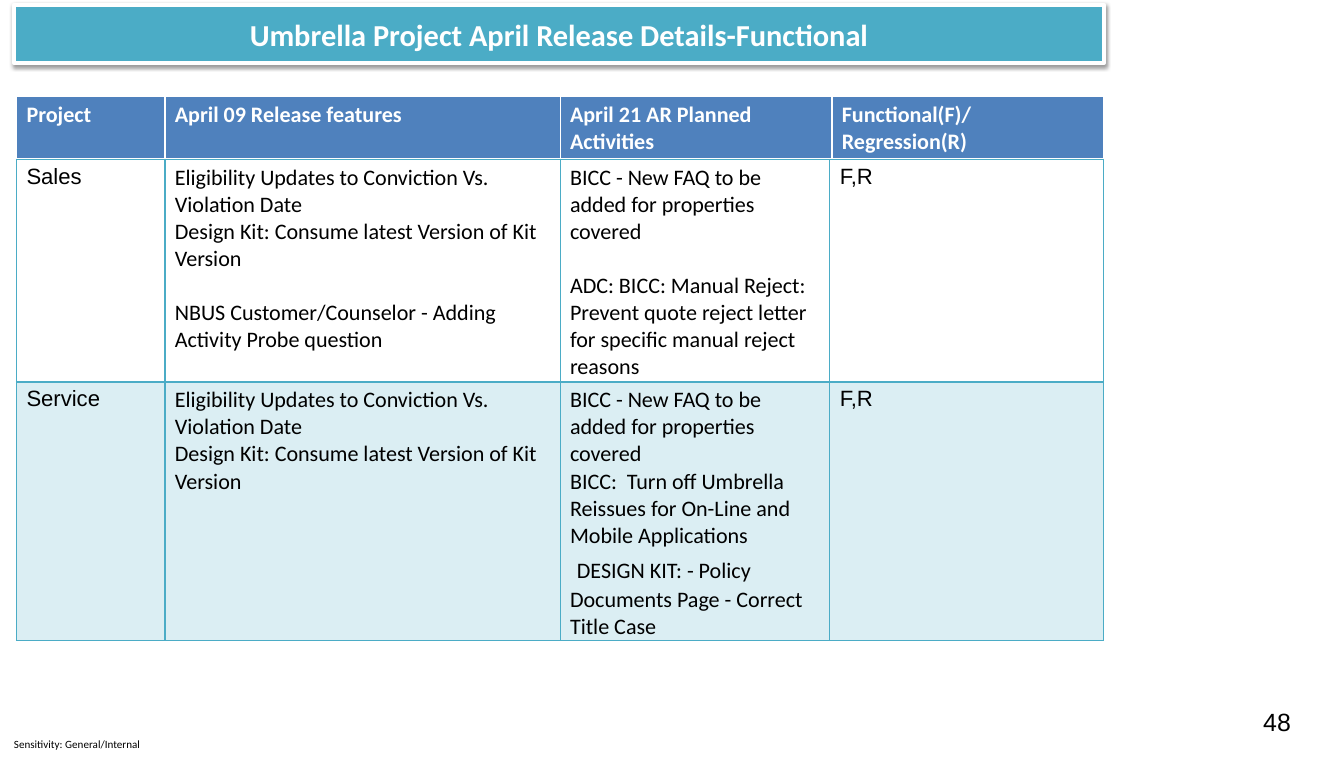
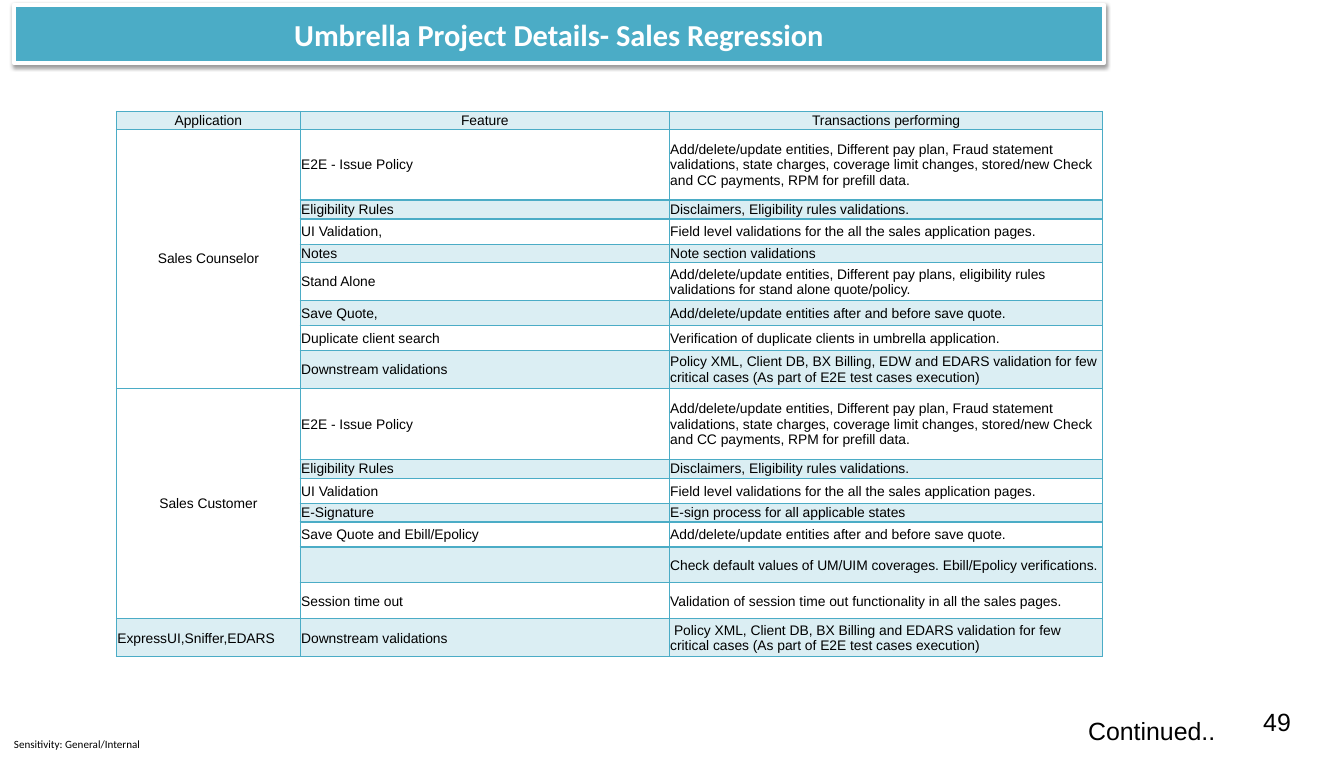
from collections import namedtuple
from dataclasses import dataclass

from lxml import etree
from pptx import Presentation
from pptx.dml.color import RGBColor
from pptx.enum.text import MSO_ANCHOR, MSO_AUTO_SIZE, PP_ALIGN
from pptx.oxml.ns import qn
from pptx.util import Pt

LEFT, CENTER = PP_ALIGN.LEFT, PP_ALIGN.CENTER
TOP, MIDDLE = MSO_ANCHOR.TOP, MSO_ANCHOR.MIDDLE
TITLE_ONLY = 5


@dataclass(frozen=True)
class Theme:
    teal: str = "4BACC6"
    blue: str = "4F81BD"
    white: str = "FFFFFF"
    black: str = "000000"
    heading: str = "Calibri"
    body: str = "Arial"
    title_size: float = 22
    page_size: float = 18
    table_size: float = 16
    dense_size: float = 10
    footer_size: float = 8
    tint: int = 20  # opacity of shaded rows, percent


T = Theme()
Box = namedtuple("Box", "left top width height")
# gap: points above the paragraph; lead: size of a leading space
Para = namedtuple("Para", "text gap lead", defaults=(0, 0))

SLIDE_W, SLIDE_H = 972, 547.2
TITLE_BOX = Box(10, 3.6, 788.5, 41.8)
FOOTER_BOX = Box(0, 529.2, 111.6, 18)
PAGE_BOX = Box(906.5, 507.6, 48.2, 28.8)
CONTINUED_BOX = Box(779.8, 513.4, 107.3, 28.8)
LINE_GAP = 19.5

# Release details
RELEASE_HEAD = ["Project", "April 09 Release features",
                "April 21 AR Planned Activities", "Functional(F)/Regression(R)"]
UPDATES = [Para("Eligibility Updates to Conviction Vs. Violation Date"),
           Para("Design Kit: Consume latest Version of Kit Version")]
FAQ = Para("BICC - New FAQ to be added for properties covered")
RELEASE_ROWS = [
    ["Sales",
     UPDATES + [Para("NBUS Customer/Counselor - Adding Activity Probe question", LINE_GAP)],
     [FAQ, Para("ADC: BICC: Manual Reject: Prevent quote reject letter for specific "
                "manual reject reasons", LINE_GAP)],
     "F,R"],
    ["Service",
     UPDATES,
     [FAQ, Para("BICC:  Turn off Umbrella Reissues for On-Line and Mobile Applications"),
      Para("DESIGN KIT: - Policy Documents Page - Correct Title Case", lead=22)],
     "F,R"],
]

# Sales regression: height, application, feature, transactions
ISSUE = ("E2E - Issue Policy",
         "Add/delete/update entities, Different pay plan, Fraud statement validations, "
         "state charges, coverage limit changes, stored/new Check and CC payments, "
         "RPM for prefill data.")
RULES = ("Eligibility Rules", "Disclaimers, Eligibility rules validations.")
FIELDS = "Field level validations for the all the sales application pages."
SAVING = "Add/delete/update entities after and before save quote."
CASES = "validation for few critical cases (As part of E2E test cases execution)"
REGRESSION_ROWS = [
    (12.5, "Application", "Feature", "Transactions performing"),
    (51.3, "Sales Counselor", *ISSUE),
    (13.7, "", *RULES),
    (18.3, "", "UI Validation,", FIELDS),
    (13.4, "", "Notes", "Note section validations"),
    (27.4, "", "Stand Alone", "Add/delete/update entities, Different pay plans, eligibility "
                              "rules validations for stand alone quote/policy."),
    (18, "", "Save Quote,", SAVING),
    (18, "", "Duplicate client search",
     "Verification of duplicate clients in umbrella application."),
    (27.4, "", "Downstream validations",
     "Policy XML, Client DB, BX Billing, EDW and EDARS " + CASES),
    (51.3, "Sales Customer", *ISSUE),
    (13.7, "", *RULES),
    (18.3, "", "UI Validation", FIELDS),
    (13.4, "", "E-Signature", "E-sign process for all applicable states"),
    (18, "", "Save Quote and Ebill/Epolicy", SAVING),
    (26, "", "", "Check default values of UM/UIM coverages. Ebill/Epolicy verifications."),
    (26, "", "Session time out",
     "Validation of session time out functionality in all the sales pages."),
    (27.4, "ExpressUI,Sniffer,EDARS", "Downstream validations",
     " Policy XML, Client DB, BX Billing and EDARS " + CASES),
]
MERGED_ROWS = [(1, 8), (9, 15)]


def rgb(color):
    return RGBColor.from_string(color)


def points(box):
    return [Pt(v) for v in box]


def write(tf, text, *, size, font=T.body, color=T.black, bold=False, align=LEFT,
          anchor=TOP, insets=(7.2, 3.6, 7.2, 3.6)):
    """Fill a text frame with a string or a list of Para."""
    tf.vertical_anchor = anchor
    tf.margin_left, tf.margin_top, tf.margin_right, tf.margin_bottom = points(insets)
    paras = [Para(text)] if isinstance(text, str) else text
    for i, para in enumerate(paras):
        p = tf.add_paragraph() if i else tf.paragraphs[0]
        p.alignment = align
        if para.gap:
            p.space_before = Pt(para.gap)
        runs = [(para.text, size)] if para.text else []
        if para.lead:
            runs.insert(0, (" ", para.lead))
        for run_text, run_size in runs:
            r = p.add_run()
            r.text = run_text
            r.font.size, r.font.name, r.font.bold = Pt(run_size), font, bold
            r.font.color.rgb = rgb(color)
        if not runs:
            etree.SubElement(p._p, qn("a:endParaRPr"), sz=str(size * 100))


def add_label(s, box, text, wrap=True, **fmt):
    tf = s.shapes.add_textbox(*points(box)).text_frame
    tf.word_wrap = wrap
    write(tf, text, **fmt)


def set_opacity(element, percent):
    for clr in element.findall(qn("a:solidFill") + "/" + qn("a:srgbClr")):
        etree.SubElement(clr, qn("a:alpha"), val=str(percent * 1000))


def set_borders(cell, color, bottom=1):
    tcPr = cell._tc.get_or_add_tcPr()
    for side, width in zip("LRTB", (1, 1, 1, bottom)):
        ln = etree.SubElement(tcPr, qn("a:ln" + side), w=str(Pt(width)))
        fill = etree.SubElement(ln, qn("a:solidFill"))
        etree.SubElement(fill, qn("a:srgbClr"), val=color)


def set_fill(cell, color=None, opacity=100):
    if color is None:
        cell.fill.background()
        return
    cell.fill.solid()
    cell.fill.fore_color.rgb = rgb(color)
    if opacity < 100:
        set_opacity(cell._tc.tcPr, opacity)


def add_grid(s, left, top, widths, heights):
    """Add a plain table and return it."""
    box = Box(left, top, sum(widths), sum(heights))
    table = s.shapes.add_table(len(heights), len(widths), *points(box)).table
    table.first_row = table.horz_banding = False
    for col, width in zip(table.columns, widths):
        col.width = Pt(width)
    for row, height in zip(table.rows, heights):
        row.height = Pt(height)
    return table


def add_title(s, box, text):
    title = s.shapes.title
    title.left, title.top, title.width, title.height = points(box)
    title.fill.solid()
    title.fill.fore_color.rgb = rgb(T.teal)
    title.line.color.rgb = rgb(T.white)
    title.line.width = Pt(3)
    # Soft shadow under the band
    title.shadow.inherit = False
    effects = title._element.spPr.find(qn("a:effectLst"))
    shadow = etree.SubElement(effects, qn("a:outerShdw"), blurRad=str(Pt(3.1)),
                              dist=str(Pt(1.6)), dir="5400000", rotWithShape="0")
    clr = etree.SubElement(shadow, qn("a:srgbClr"), val=T.black)
    etree.SubElement(clr, qn("a:alpha"), val="38000")
    title.text_frame.auto_size = MSO_AUTO_SIZE.NONE
    title.text_frame.word_wrap = True
    write(title.text_frame, text, size=T.title_size, font=T.heading, color=T.white,
          bold=True, align=CENTER, anchor=MIDDLE)


def add_base_slide(prs, title, page):
    """Add a slide with the title band, sensitivity footer and page number."""
    s = prs.slides.add_slide(prs.slide_layouts[TITLE_ONLY])
    add_title(s, TITLE_BOX, title)
    add_label(s, FOOTER_BOX, "Sensitivity: General/Internal", size=T.footer_size,
              font=T.heading, align=CENTER, anchor=MIDDLE, insets=(0, 0, 0, 0))
    add_label(s, PAGE_BOX, str(page), size=T.page_size)
    return s


def add_release_tables(s, left, top):
    insets = (7.2, 3.6, 7.2, 0)
    head_height = 45.2
    # Header strip
    head = add_grid(s, left, top, [107.3, 285.8, 196.6, 196.6], [head_height])
    for cell, text in zip(head.rows[0].cells, RELEASE_HEAD):
        set_borders(cell, T.white, bottom=3)
        set_fill(cell, T.blue)
        write(cell.text_frame, text, size=T.table_size, font=T.heading, color=T.white,
              bold=True, insets=insets)
        cell.vertical_anchor = TOP
    # Project rows
    body = add_grid(s, left, top + head_height, [107.3, 285.8, 195.1, 198], [160.8, 187])
    fonts = [T.body, T.heading, T.heading, T.body]
    for i, texts in enumerate(RELEASE_ROWS):
        for cell, text, font in zip(body.rows[i].cells, texts, fonts):
            set_borders(cell, T.teal, bottom=1 if i else 2)
            set_fill(cell, T.teal if i else None, T.tint)
            format_cell(cell, text, size=T.table_size, font=font, insets=insets)


def format_cell(cell, text, *, anchor=TOP, insets, **fmt):
    """Write into a cell, whose margins and anchor belong to the cell itself."""
    write(cell.text_frame, text, insets=insets, **fmt)
    cell.margin_left, cell.margin_top, cell.margin_right, cell.margin_bottom = points(insets)
    cell.vertical_anchor = anchor


def add_regression_table(s, left, top):
    table = add_grid(s, left, top, [133, 266.9, 313.5], [row[0] for row in REGRESSION_ROWS])
    starts = [first for first, last in MERGED_ROWS]
    for i, (_, *texts) in enumerate(REGRESSION_ROWS):
        for j, text in enumerate(texts):
            cell = table.cell(i, j)
            in_merge = j == 0 and any(a <= i <= b for a, b in MERGED_ROWS)
            shaded = i % 2 == 0 and not in_merge
            centred = i == 0 or (j == 0 and i in starts)
            set_borders(cell, T.teal)
            set_fill(cell, T.teal if shaded else None, T.tint)
            format_cell(cell, text, size=T.dense_size, anchor=MIDDLE,
                        align=CENTER if centred else LEFT, insets=(0.7, 0.7, 0.7, 0))
    for first, last in MERGED_ROWS:
        table.cell(first, 0).merge(table.cell(last, 0))


def main():
    prs = Presentation()
    prs.slide_width, prs.slide_height = Pt(SLIDE_W), Pt(SLIDE_H)

    s = add_base_slide(prs, "Umbrella Project April Release Details-Functional", 48)
    add_release_tables(s, 12, 70)

    s = add_base_slide(prs, "Umbrella Project Details- Sales Regression", 49)
    add_regression_table(s, 84.2, 80.6)
    add_label(s, CONTINUED_BOX, "Continued..", wrap=False, size=T.page_size)

    prs.save("out.pptx")


if __name__ == "__main__":
    main()
